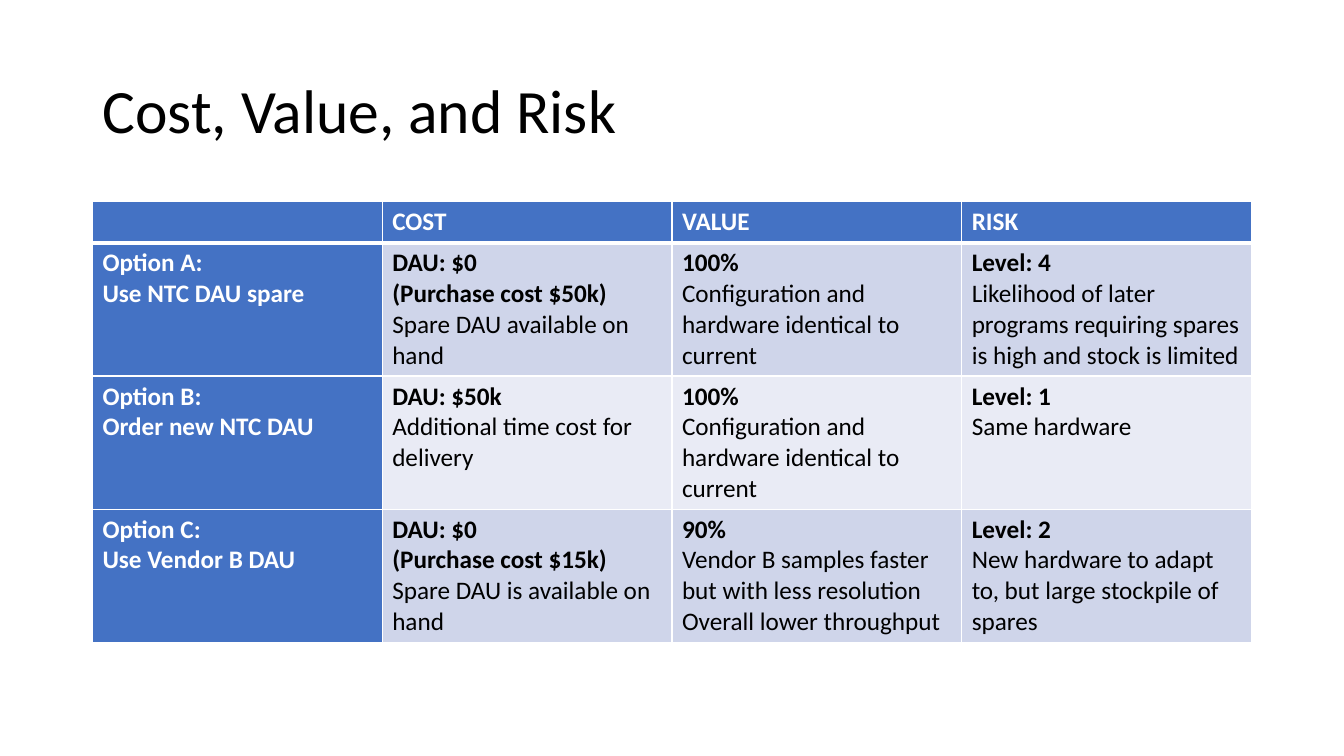
from dataclasses import dataclass
from lxml.etree import SubElement
from pptx import Presentation
from pptx.dml.color import RGBColor
from pptx.enum.text import MSO_ANCHOR, MSO_AUTO_SIZE, PP_ALIGN
from pptx.oxml.ns import qn
from pptx.util import Cm, Pt


@dataclass(frozen=True)
class Theme:
    font: str = "Calibri"
    title_size: int = 44
    cell_size: int = 18
    dark: str = "000000"
    light: str = "FFFFFF"
    accent: str = "4472C4"
    bands: tuple = ("CFD5EA", "E9EBF5")


THEME = Theme()
LEFT, WIDTH = Cm(2.33), Cm(29.21)
HEADER_HEIGHT, OPTION_HEIGHT = Cm(1.04), Cm(3.35)
IDENTICAL = "Configuration and hardware identical to current"

HEADERS = ["", "COST", "VALUE", "RISK"]
OPTIONS = [
    [(["Option A:", "Use NTC DAU spare"], []),
     (["DAU: $0", "(Purchase cost $50k)"], ["Spare DAU available on hand"]),
     (["100%"], [IDENTICAL]),
     (["Level: 4"], ["Likelihood of later programs requiring spares "
                     "is high and stock is limited"])],
    [(["Option B:", "Order new NTC DAU"], []),
     (["DAU: $50k"], ["Additional time cost for delivery"]),
     (["100%"], [IDENTICAL]),
     (["Level: 1"], ["Same hardware"])],
    [(["Option C:", "Use Vendor B DAU"], []),
     (["DAU: $0", "(Purchase cost $15k)"], ["Spare DAU is available on hand"]),
     (["90%"], ["Vendor B samples faster but with less resolution",
                "Overall lower throughput"]),
     (["Level: 2"], ["New hardware to adapt to, but large stockpile of spares"])],
]


def apply(target, formats):
    for name, value in formats.items():
        setattr(target, name, value)


def format_font(font, size, color, bold=False):
    apply(font, {"name": THEME.font, "size": Pt(size), "bold": bold})
    font.color.rgb = RGBColor.from_string(color)


def add_title(s, text):
    title = s.shapes.title
    apply(title, {"left": LEFT, "top": Cm(1.01), "width": WIDTH, "height": Cm(3.68)})
    tf = title.text_frame
    apply(tf, {"text": text, "word_wrap": True, "auto_size": MSO_AUTO_SIZE.NONE,
               "vertical_anchor": MSO_ANCHOR.MIDDLE})
    p = tf.paragraphs[0]
    apply(p, {"alignment": PP_ALIGN.LEFT, "line_spacing": 0.9})
    format_font(p.runs[0].font, THEME.title_size, THEME.dark)


def set_borders(cell, widths):
    tc_pr = cell._tc.get_or_add_tcPr()
    for side, width in widths.items():
        ln = SubElement(tc_pr, qn(f"a:ln{side}"), w=str(Pt(width)))
        fill = SubElement(ln, qn("a:solidFill"))
        SubElement(fill, qn("a:srgbClr"), val=THEME.light)


def fill_cell(cell, bold_lines, plain_lines, color, fill, top=1, bottom=1):
    set_borders(cell, {"L": 1, "R": 1, "T": top, "B": bottom})
    cell.fill.solid()
    cell.fill.fore_color.rgb = RGBColor.from_string(fill)
    tf = cell.text_frame
    tf.text = "\n".join(bold_lines + plain_lines)
    for i, p in enumerate(tf.paragraphs):
        bold = i < len(bold_lines)
        format_font(p.font, THEME.cell_size, color, bold)
        for r in p.runs:
            format_font(r.font, THEME.cell_size, color, bold)


def add_options_table(s):
    height = HEADER_HEIGHT + OPTION_HEIGHT * len(OPTIONS)
    table = s.shapes.add_table(len(OPTIONS) + 1, len(HEADERS),
                               LEFT, Cm(5.08), WIDTH, height).table
    table.first_col = True
    table.rows[0].height = HEADER_HEIGHT
    for col, header in enumerate(HEADERS):
        fill_cell(table.cell(0, col), [header], [], THEME.light, THEME.accent, bottom=3)
    for row, option in enumerate(OPTIONS, 1):
        table.rows[row].height = OPTION_HEIGHT
        band = THEME.bands[(row - 1) % 2]
        for col, (bold_lines, plain_lines) in enumerate(option):
            color, fill = (THEME.dark, band) if col else (THEME.light, THEME.accent)
            fill_cell(table.cell(row, col), bold_lines, plain_lines, color, fill,
                      top=3 if row == 1 else 1)


def main():
    prs = Presentation()
    apply(prs, {"slide_width": Cm(33.87), "slide_height": Cm(19.05)})
    s = prs.slides.add_slide(prs.slide_layouts.get_by_name("Title Only"))
    add_title(s, "Cost, Value, and Risk")
    add_options_table(s)
    prs.save("out.pptx")


main()
